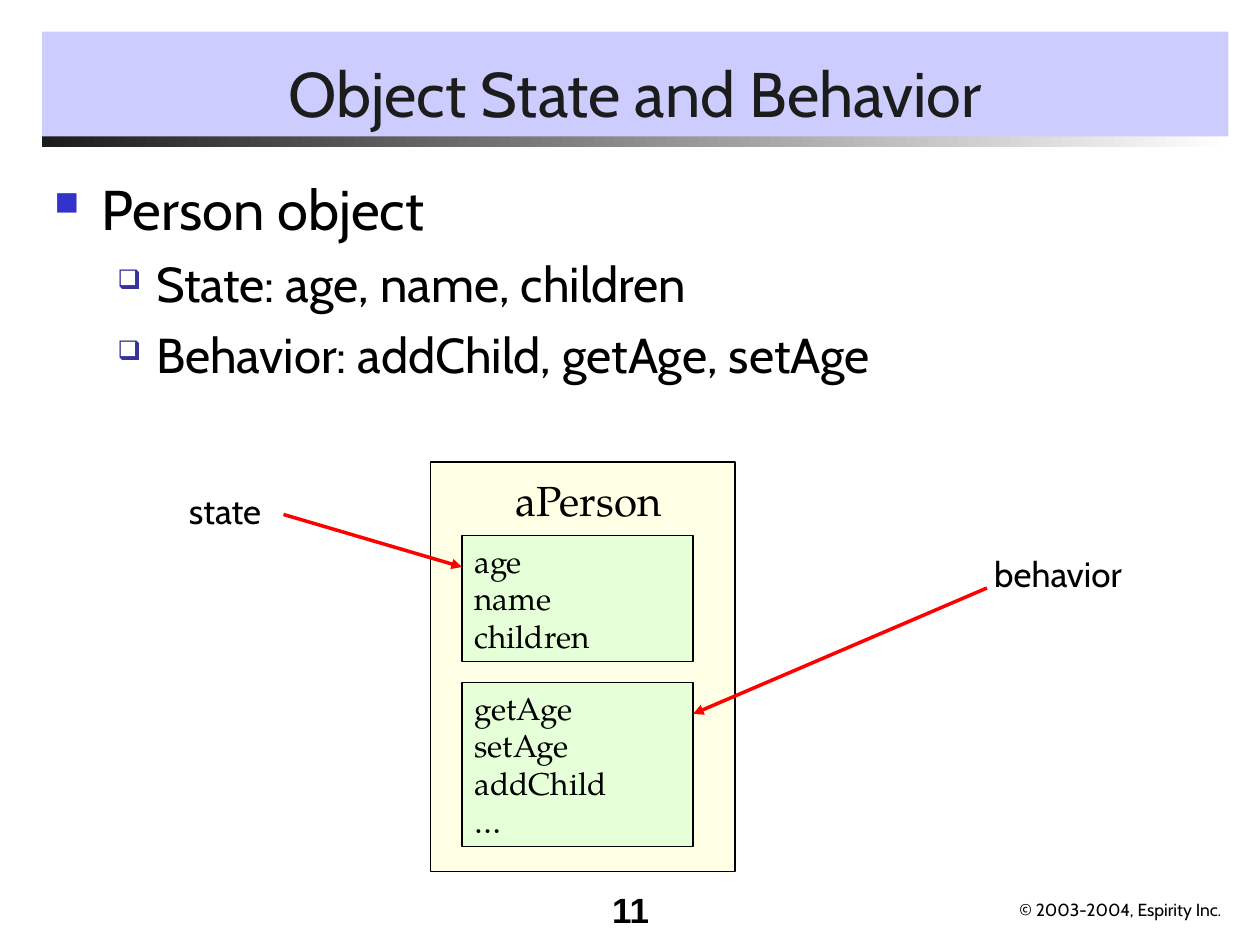
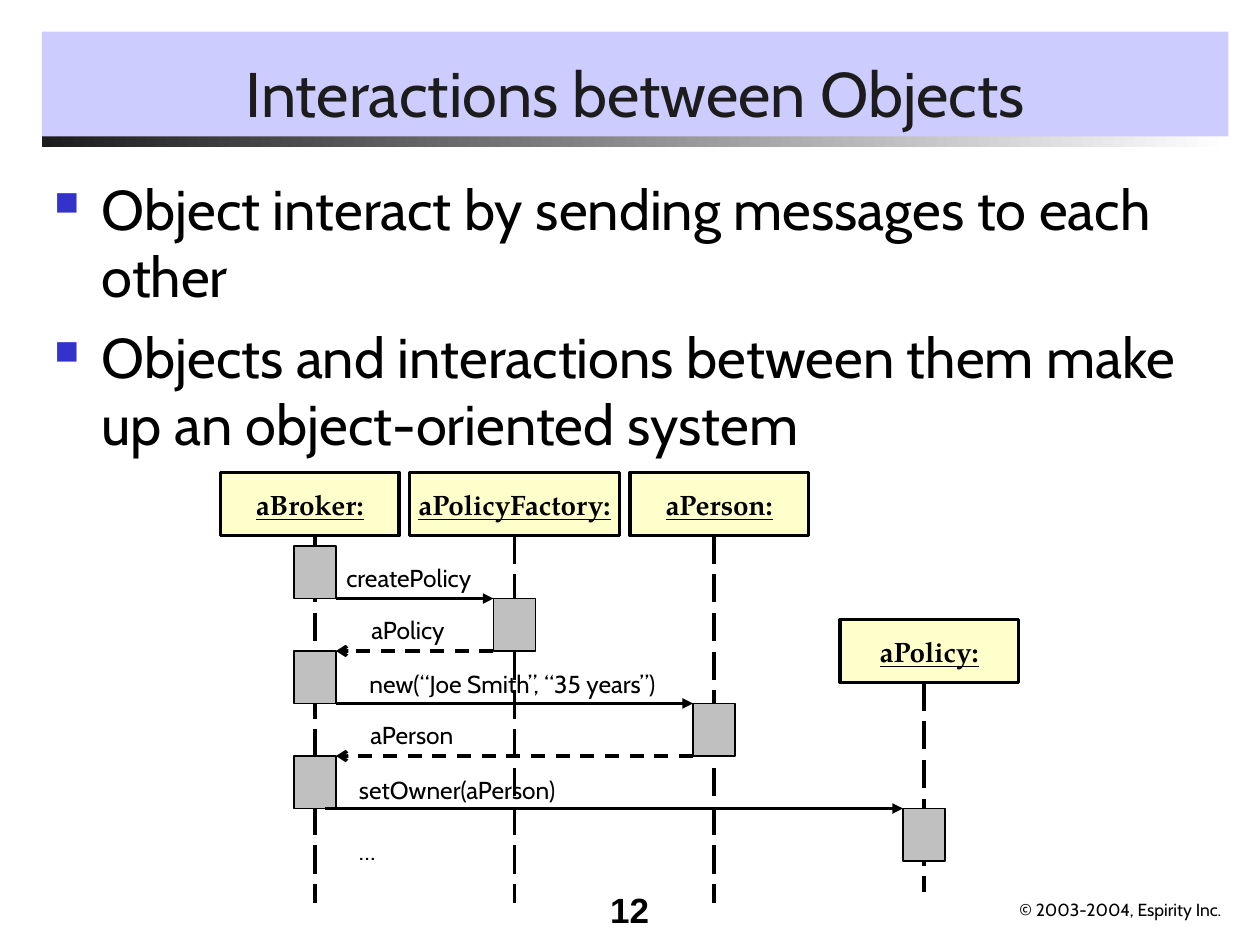
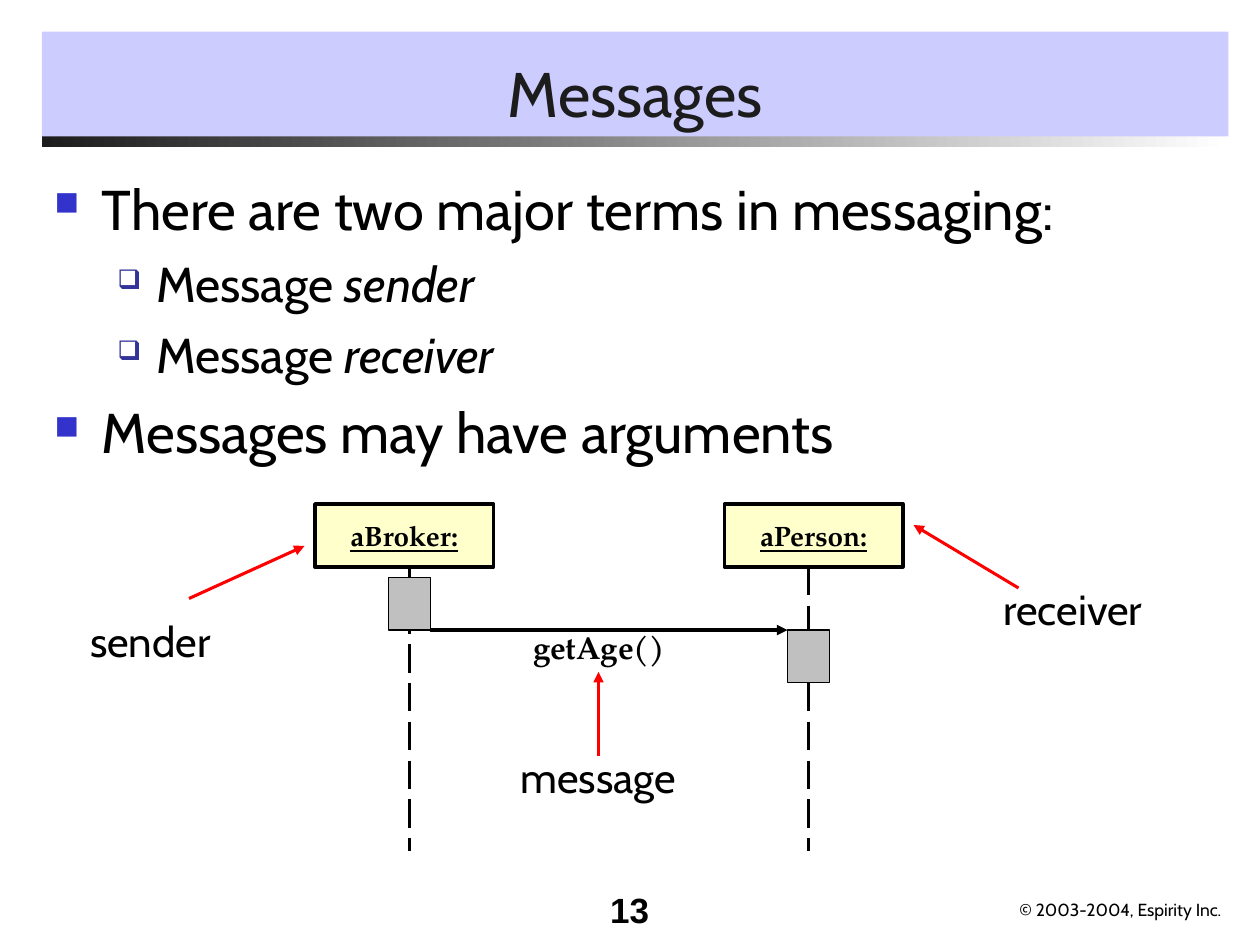
import pptx
import pptx.util
import pptx.dml.color
import pptx.enum.dml
import pptx.enum.shapes
import pptx.enum.text
import pptx.oxml.ns
import lxml.etree

PX = 7620
Pt = pptx.util.Pt
qn = pptx.oxml.ns.qn
Align = pptx.enum.text.PP_ALIGN
Dash = pptx.enum.dml.MSO_LINE
Rect = pptx.enum.shapes.MSO_SHAPE.RECTANGLE
Link = pptx.enum.shapes.MSO_CONNECTOR.STRAIGHT

HUES = {
    "band": "CCCCFF", "ink": "1C1C1C", "black": "000000", "white": "FFFFFF",
    "cream": "FFFFCC", "mint": "CCFFCC", "lemon": "FFFF99", "gray": "C0C0C0",
    "red": "FF0000", "blue": "3333CC", "navy": "333399",
}
RGB = {name: pptx.dml.color.RGBColor.from_string(code) for name, code in HUES.items()}
SHEER = ("cream", "mint", "lemon")

LOOKS = {
    "title": {"name": "Cabin", "size": Pt(36)},
    "body": {"name": "Cabin", "size": Pt(32)},
    "page": {"name": "Arial", "size": Pt(20), "bold": True},
    "foot": {"name": "Cabin", "size": Pt(10)},
    "note": {"name": "Cabin", "size": Pt(20)},
    "role": {"name": "Cabin", "size": Pt(24)},
    "call": {"name": "Cabin", "size": Pt(14)},
    "name": {"name": "TeX Gyre Pagella", "size": Pt(24)},
    "list": {"name": "TeX Gyre Pagella", "size": Pt(18)},
    "send": {"name": "TeX Gyre Pagella", "size": Pt(18), "bold": True},
    "head": {"name": "TeX Gyre Pagella", "size": Pt(16), "bold": True, "underline": True},
}
LEVELS = [
    {"left": 45, "hang": -45, "gap": 8, "mark": "■", "hue": "blue", "part": 60, "size": 32},
    {"left": 97, "hang": -37, "gap": 7, "mark": "❑", "hue": "navy", "part": 55, "size": 28},
]


def block(page, area, text="", look="body", fill=None, edge=0, wrap=False,
          align=Align.LEFT, anchor="TOP", hue="black"):
    spot = [n * PX for n in area]
    if fill:
        shape = page.shapes.add_shape(Rect, *spot)
        shape.shadow.inherit = False
        shape.fill.solid()
        shape.fill.fore_color.rgb = RGB[fill]
        if fill in SHEER:
            tint = shape.fill._xPr.find(".//" + qn("a:srgbClr"))
            lxml.etree.SubElement(tint, qn("a:alpha"), val="50000")
        if edge:
            shape.line.color.rgb = RGB["black"]
            shape.line.width = Pt(edge)
        else:
            shape.line.fill.background()
    else:
        shape = page.shapes.add_textbox(*spot)
    if not text:
        return shape
    frame = shape.text_frame
    frame.word_wrap = wrap
    frame.vertical_anchor = pptx.enum.text.MSO_ANCHOR[anchor]
    if not fill and not wrap:
        frame.auto_size = pptx.enum.text.MSO_AUTO_SIZE.SHAPE_TO_FIT_TEXT
    for i, words in enumerate(text.split("\n")):
        para = frame.add_paragraph() if i else frame.paragraphs[0]
        para.alignment = align
        for j, piece in enumerate(words.split("*")):
            if piece:
                run = para.add_run()
                run.text = piece
                for key, value in LOOKS[look].items():
                    setattr(run.font, key, value)
                run.font.color.rgb = RGB[hue]
                if j % 2:
                    run.font.italic = True
    return shape


def line(page, ends, hue="black", width=2, dash=None, tip=None):
    link = page.shapes.add_connector(Link, *[n * PX for n in ends])
    link.line.color.rgb = RGB[hue]
    link.line.width = Pt(width)
    if dash:
        link.line.dash_style = dash
    if tip:
        lxml.etree.SubElement(link.line._get_or_add_ln(), qn("a:tailEnd"), type=tip)
    lxml.etree.SubElement(link._element.spPr, qn("a:effectLst"))


TOPICS = [
    ("Object State and Behavior", [
        (0, "Person object"),
        (1, "State: age, name, children"),
        (1, "Behavior: addChild, getAge, setAge"),
    ]),
    ("Interactions between Objects", [
        (0, "Object interact by sending messages to each other"),
        (0, "Objects and interactions between them make up an object-oriented system"),
    ]),
    ("Messages", [
        (0, "There are two major terms in messaging:"),
        (1, "Message *sender*"),
        (1, "Message* receiver*"),
        (0, "Messages may have arguments"),
    ]),
]

deck = pptx.Presentation()
deck.slide_width = 1200 * PX
deck.slide_height = 900 * PX
pages = []

for number, (title, points) in enumerate(TOPICS, 11):
    page = deck.slides.add_slide(deck.slide_layouts[6])
    pages.append(page)
    rule = block(page, (40, 130, 1130, 10), fill="ink")
    rule.fill.gradient()
    rule.fill.gradient_angle = 0
    for stop, hue in zip(rule.fill.gradient_stops, ("ink", "white")):
        stop.color.rgb = RGB[hue]
    block(page, (530, 840, 100, 60), str(number), "page", wrap=True, align=Align.RIGHT)
    block(page, (959, 850, 222, 32), "© 2003-2004, Espirity Inc.", "foot")
    block(page, (40, 30, 1130, 100), title, "title", "band", wrap=True,
          align=Align.CENTER, anchor="BOTTOM", hue="ink")
    body = block(page, (40, 160, 1135, 650), "\n".join(text for _, text in points), wrap=True)
    for i, (para, (depth, _)) in enumerate(zip(body.text_frame.paragraphs, points)):
        level = LEVELS[depth]
        para.level = depth
        para.space_before = Pt(level["gap"] if i else 0)
        props = para._p.get_or_add_pPr()
        props.set("marL", str(level["left"] * PX))
        props.set("indent", str(level["hang"] * PX))
        tint = lxml.etree.SubElement(props, qn("a:buClr"))
        lxml.etree.SubElement(tint, qn("a:srgbClr"), val=HUES[level["hue"]])
        lxml.etree.SubElement(props, qn("a:buSzPct"), val=str(level["part"] * 1000))
        lxml.etree.SubElement(props, qn("a:buChar"), char=level["mark"])
        for run in para.runs:
            run.font.size = Pt(level["size"])

state, flow, talk = pages

block(state, (168, 460, 101, 53), "state", "note")
block(state, (935, 520, 162, 53), "behavior", "note")
block(state, (410, 440, 290, 390), fill="cream", edge=0.75)
block(state, (479, 446, 178, 60), "aPerson", "name")
for top, tall, text in [
    (510, 120, "age\nname\nchildren"),
    (650, 156, "getAge\nsetAge\naddChild\n…"),
]:
    block(state, (440, top, 220, tall), text, "list", "mint", 0.75, wrap=True)
for ends in [(270, 490, 440, 540), (940, 560, 660, 680)]:
    line(state, ends, "red", tip="triangle")

CHARTS = [
    (flow,
     [("aBroker:", 210, 450, 170, 300, 860), ("aPolicyFactory:", 390, 450, 200, 490, 860),
      ("aPerson:", 600, 450, 170, 680, 860), ("aPolicy:", 800, 590, 170, 880, 850)],
     [(300, 520), (490, 570), (300, 620), (680, 670), (300, 720), (880, 770)],
     [(320, 470, 570), (470, 320, 620), (320, 660, 670), (660, 320, 720), (310, 860, 770)],
     [("createPolicy", "call", 318, 530, 156, 41), ("aPolicy", "call", 342, 580, 101, 41),
      ("new(“Joe Smith”, “35 years”)", "call", 340, 631, 340, 41),
      ("aPerson", "call", 341, 680, 114, 41),
      ("setOwner(aPerson)", "call", 330, 732, 340, 41), ("…", "call", 330, 790, 340, 41)]),
    (talk,
     [("aBroker:", 300, 480, 170, 390, 810), ("aPerson:", 690, 480, 170, 770, 810)],
     [(390, 550), (770, 600)],
     [(410, 750, 600)],
     [("getAge()", "send", 496, 592, 150, 48), ("sender", "role", 74, 580, 154, 60),
      ("receiver", "role", 944, 550, 174, 60), ("message", "role", 484, 710, 192, 60)]),
]
for page, heads, bars, sends, notes in CHARTS:
    for text, left, top, wide, mid, end in heads:
        line(page, (mid, top + 60, mid, end), dash=Dash.LONG_DASH)
        block(page, (left, top, wide, 60), text, "head", "lemon", 2,
              align=Align.CENTER, anchor="MIDDLE")
    for mid, top in bars:
        block(page, (mid - 20, top, 40, 50), fill="gray", edge=0.75)
    for start, end, y in sends:
        back = end < start
        line(page, (start, y, end, y), dash=Dash.DASH if back else None,
             tip="arrow" if back else "triangle")
    for text, look, *area in notes:
        block(page, area, text, look, wrap=area[2] == 340)

for ends in [(180, 570, 290, 520), (970, 560, 870, 500), (570, 720, 570, 640)]:
    line(talk, ends, "red", 1.75, tip="triangle")

deck.save("out.pptx")
